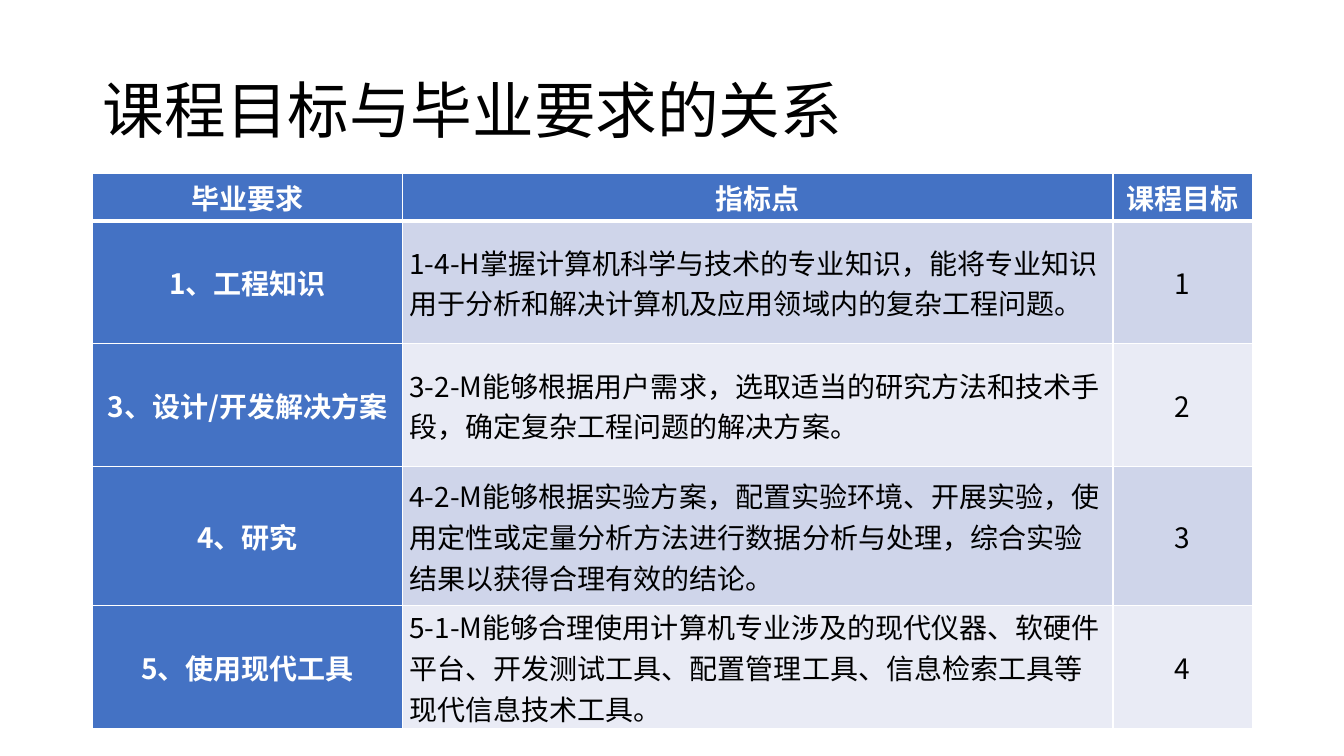
from lxml.etree import SubElement
from pptx import Presentation
from pptx.dml.color import RGBColor
from pptx.enum.text import MSO_ANCHOR, PP_ALIGN
from pptx.oxml.ns import qn
from pptx.util import Inches, Pt

CJK_FONT = "Noto Sans CJK SC"
BLUE, WHITE, BLACK = "4472C4", "FFFFFF", "000000"
BANDS = ["CFD5EA", "E9EBF5"]
COLUMN_WIDTHS = [3.07, 7.05, 1.38]
ROW_HEIGHTS = [0.47, 1.22, 1.22, 1.38, 1.22]
ROWS = [
    ("毕业要求", "指标点", "课程目标"),
    ("1、工程知识",
     "1-4-H掌握计算机科学与技术的专业知识，能将专业知识用于分析和解决计算机及应用领域内的复杂工程问题。",
     "1"),
    ("3、设计/开发解决方案",
     "3-2-M能够根据用户需求，选取适当的研究方法和技术手段，确定复杂工程问题的解决方案。",
     "2"),
    ("4、研究",
     "4-2-M能够根据实验方案，配置实验环境、开展实验，使用定性或定量分析方法进行数据分析与处理，综合实验结果以获得合理有效的结论。",
     "3"),
    ("5、使用现代工具",
     "5-1-M能够合理使用计算机专业涉及的现代仪器、软硬件平台、开发测试工具、配置管理工具、信息检索工具等现代信息技术工具。",
     "4"),
]


def color(value):
    return RGBColor.from_string(value)


def write_text(frame, text, size=20, font=CJK_FONT, fill=BLACK, bold=False,
               align=PP_ALIGN.LEFT, line_spacing=None):
    paragraph = frame.paragraphs[0]
    paragraph.alignment = align
    paragraph.line_spacing = line_spacing
    run = paragraph.add_run()
    run.text = text
    run.font.size = Pt(size)
    run.font.name = font
    run.font.bold = bold
    run.font.color.rgb = color(fill)
    SubElement(run.font._element, qn("a:ea"), typeface=CJK_FONT)


def set_borders(cell, bottom):
    """Draw white cell borders, 1 pt wide except for the given edge widths."""
    properties = cell._tc.get_or_add_tcPr()
    widths = {"a:lnL": 1, "a:lnR": 1, "a:lnT": 1, "a:lnB": bottom}
    for index, (tag, width) in enumerate(widths.items()):
        line = SubElement(properties, qn(tag), w=str(Pt(width)))
        fill = SubElement(line, qn("a:solidFill"))
        SubElement(fill, qn("a:srgbClr"), val=WHITE)
        properties.insert(index, line)


def place_title(slide, left, top, width, height):
    title = slide.shapes.title
    title.left, title.top = Inches(left), Inches(top)
    title.width, title.height = Inches(width), Inches(height)
    title.text_frame.vertical_anchor = MSO_ANCHOR.MIDDLE
    title.text_frame.word_wrap = True
    write_text(title.text_frame, "课程目标与毕业要求的关系", size=44,
               font="Calibri", line_spacing=0.9)


def fill_cell(cell, text, row, column):
    header = row == 0 or column == 0
    cell.margin_left = cell.margin_right = Inches(0.07)
    cell.margin_top = cell.margin_bottom = 0
    cell.vertical_anchor = MSO_ANCHOR.MIDDLE
    cell.fill.solid()
    cell.fill.fore_color.rgb = color(BLUE if header else BANDS[(row - 1) % 2])
    set_borders(cell, bottom=3 if row == 0 else 1)
    centred = header or column == 2
    write_text(cell.text_frame, text, bold=header,
               fill=WHITE if header else BLACK,
               align=PP_ALIGN.CENTER if centred else PP_ALIGN.LEFT)


def place_table(slide, left, top):
    frame = slide.shapes.add_table(
        len(ROWS), len(COLUMN_WIDTHS), Inches(left), Inches(top),
        Inches(sum(COLUMN_WIDTHS)), Inches(sum(ROW_HEIGHTS)))
    table = frame.table
    for column, width in zip(table.columns, COLUMN_WIDTHS):
        column.width = Inches(width)
    for row, height in zip(table.rows, ROW_HEIGHTS):
        row.height = Inches(height)
    for row, texts in enumerate(ROWS):
        for column, text in enumerate(texts):
            fill_cell(table.cell(row, column), text, row, column)


def main():
    presentation = Presentation()
    presentation.slide_width = Inches(13.33)
    presentation.slide_height = Inches(7.5)
    slide = presentation.slides.add_slide(presentation.slide_layouts[5])
    place_title(slide, 0.92, 0.4, 11.5, 1.45)
    place_table(slide, 0.92, 1.72)
    presentation.save("out.pptx")


if __name__ == "__main__":
    main()
